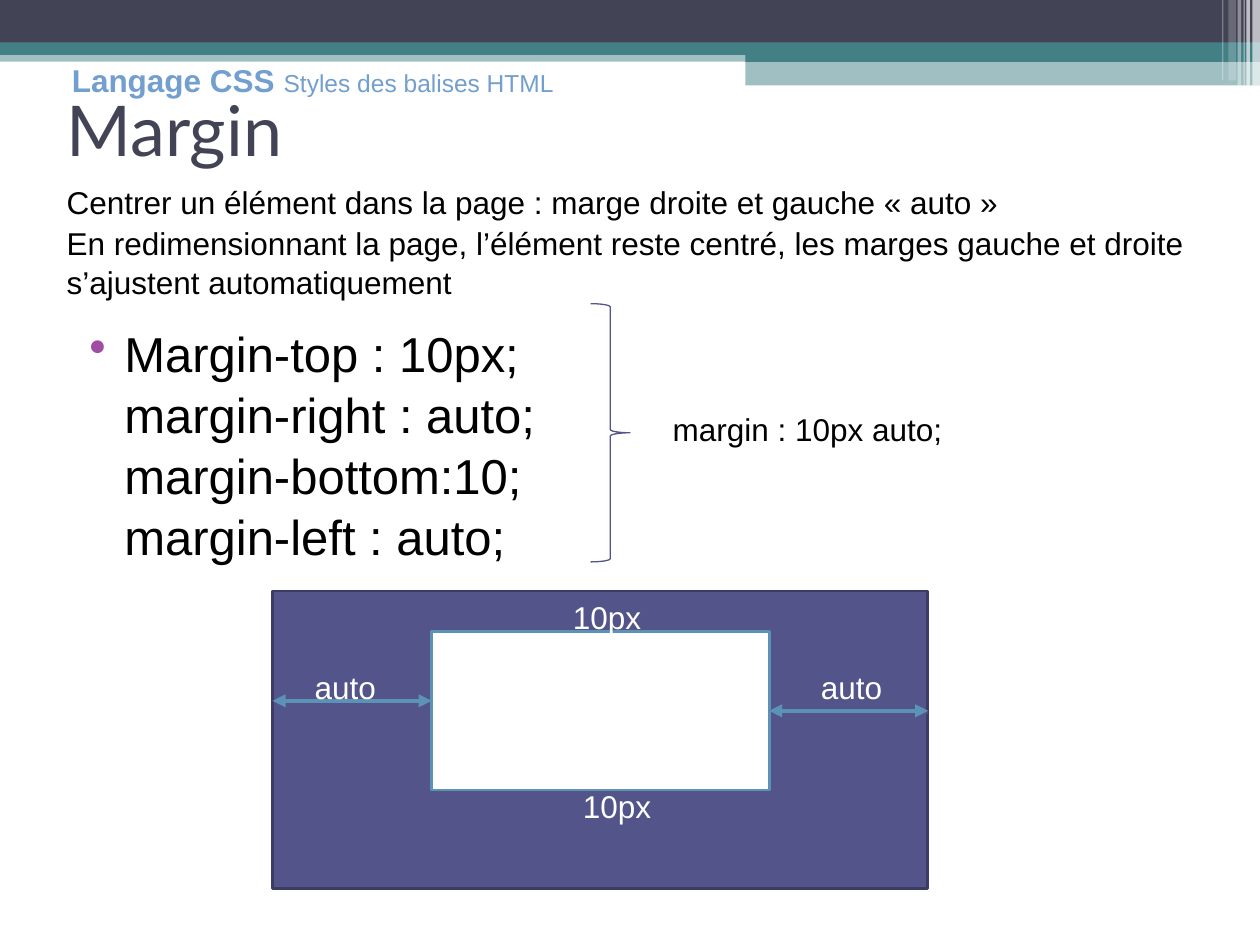
from lxml import etree
from pptx import Presentation
from pptx.dml.color import RGBColor
from pptx.enum.shapes import MSO_CONNECTOR, MSO_SHAPE
from pptx.enum.text import MSO_ANCHOR
from pptx.oxml.ns import qn
from pptx.util import Pt

RECTANGLE = MSO_SHAPE.RECTANGLE
RIGHT_BRACE = MSO_SHAPE.RIGHT_BRACE
STRAIGHT = MSO_CONNECTOR.STRAIGHT
TOP, MIDDLE = MSO_ANCHOR.TOP, MSO_ANCHOR.MIDDLE

BLACK, WHITE = "000000", "FFFFFF"
SLATE, TEAL = "424456", "438086"
INDIGO, DARK_INDIGO = "53548A", "3B3B64"
BLUE, HEADER_BLUE, PURPLE = "5C92B5", "729FCF", "A04DA3"


def color(value):
    return RGBColor.from_string(value)


class SlideBuilder:
    body_font = "Arial"
    title_font = "Lato"
    body_size = 18
    line_spacing = 1.04

    def __init__(self, page):
        self.page = page

    def shape(self, kind, x, y, w, h, fill=None, line=None, weight=1.5, opacity=100):
        shape = self.page.shapes.add_shape(kind, Pt(x), Pt(y), Pt(w), Pt(h))
        shape.shadow.inherit = False
        if fill:
            shape.fill.solid()
            shape.fill.fore_color.rgb = color(fill)
            if opacity < 100:
                tone = shape._element.spPr.find(qn("a:solidFill"))[0]
                etree.SubElement(tone, qn("a:alpha"), val=str(opacity * 1000))
        else:
            shape.fill.background()
        if line:
            shape.line.color.rgb = color(line)
            shape.line.width = Pt(weight)
        else:
            shape.line.fill.background()
        return shape

    def arrow(self, x1, y1, x2, y2, tone, weight, tip):
        arrow = self.page.shapes.add_connector(STRAIGHT, Pt(x1), Pt(y1), Pt(x2), Pt(y2))
        arrow.line.color.rgb = color(tone)
        arrow.line.width = Pt(weight)
        for end in ("a:headEnd", "a:tailEnd"):
            etree.SubElement(arrow.line._get_or_add_ln(), qn(end), type=tip)
        etree.SubElement(arrow._element.spPr, qn("a:effectLst"))

    def span(self, para, text, tone=BLACK, size=body_size, font=body_font, bold=False):
        span = para.add_run()
        span.text = text
        span.font.name = font
        span.font.size = Pt(size)
        span.font.bold = bold
        span.font.color.rgb = color(tone)

    def text(self, x, y, w, h, paragraphs, anchor=TOP):
        """Each paragraph is a list of (text, style) pairs."""
        box = self.page.shapes.add_textbox(Pt(x), Pt(y), Pt(w), Pt(h))
        frame = box.text_frame
        frame.word_wrap = True
        frame.vertical_anchor = anchor
        for index, spans in enumerate(paragraphs):
            para = frame.add_paragraph() if index else frame.paragraphs[0]
            para.space_after = Pt(0.5)
            if index:
                para.space_before = Pt(0.5)
            if len(paragraphs) > 1:
                para.line_spacing = self.line_spacing
            for text, style in spans:
                self.span(para, text, **style)

    def bullet(self, x, y, w, h, lines, size):
        box = self.page.shapes.add_textbox(Pt(x), Pt(y), Pt(w), Pt(h))
        box.text_frame.word_wrap = True
        para = box.text_frame.paragraphs[0]
        para.line_spacing = self.line_spacing
        properties = para._p.get_or_add_pPr()
        properties.set("marL", str(Pt(28)))
        properties.set("indent", str(Pt(-20)))
        bullet_color = etree.SubElement(properties, qn("a:buClr"))
        etree.SubElement(bullet_color, qn("a:srgbClr"), val=PURPLE)
        etree.SubElement(properties, qn("a:buChar"), char="•")
        for index, line in enumerate(lines):
            if index:
                para.add_line_break()
            self.span(para, line, size=size)


def main():
    deck = Presentation()
    deck.slide_width, deck.slide_height = Pt(720), Pt(540)
    page = deck.slides.add_slide(deck.slide_layouts[6])
    slide = SlideBuilder(page)

    # Banner bands
    for x, y, w, h, fill, opacity in (
        (0, 28.8, 720, 6.5, TEAL, 50),
        (0, 0, 720, 24.5, SLATE, 100),
        (0, 24.2, 720, 7.2, TEAL, 100),
        (426, 28.4, 294, 7, TEAL, 100),
        (426, 34.6, 294, 14.2, TEAL, 50),
    ):
        slide.shape(RECTANGLE, x, y, w, h, fill, opacity=opacity)

    # Vertical stripes at the right of the banner
    for x, w, h, opacity in (
        (715.6, 4.4, 49, 65),
        (712.2, 2, 49, 65),
        (710.6, 0.7, 49, 60),
        (707.2, 2, 49, 40),
        (702, 4.3, 46, 20),
        (698.4, 0.7, 46, 30),
    ):
        slide.shape(RECTANGLE, x, 0, w, h, WHITE, opacity=opacity)

    # Title, property list and introduction
    title_style = {"tone": SLATE, "size": 40, "font": slide.title_font}
    slide.text(31, 31.7, 648, 84, [[("Margin", title_style)]], MIDDLE)
    slide.bullet(36, 180, 290, 150, [
        "Margin-top : 10px;",
        "margin-right : auto;",
        "margin-bottom:10;",
        "margin-left : auto;",
    ], 28)
    slide.text(31, 100, 689, 73, [
        [("Centrer un élément dans la page : marge droite et gauche « auto »", {})],
        [("En redimensionnant la page, l’élément reste centré, les marges gauche "
          "et droite s’ajustent automatiquement", {})],
    ])

    # Brace leading to the shorthand
    slide.shape(RIGHT_BRACE, 337.5, 173.5, 22.5, 147.6, line=INDIGO, weight=0.75)
    slide.text(377.3, 230.9, 295, 29, [[("margin : 10px auto;", {})]])

    # Page and centred element
    slide.shape(RECTANGLE, 155.7, 337.7, 374.5, 170, INDIGO, DARK_INDIGO)
    slide.shape(RECTANGLE, 246.7, 360.9, 193, 90.6, WHITE, BLUE)

    # Margin arrows and their labels
    slide.arrow(439.5, 406, 530.5, 407.5, INDIGO, 0.75, "arrow")
    slide.arrow(439.5, 406.2, 530.5, 406.2, BLUE, 2.5, "triangle")
    slide.arrow(155.7, 400.5, 246.7, 400.5, BLUE, 2.5, "triangle")
    for x, y, label in (
        (320.3, 338.4, "10px"),
        (326, 446, "10px"),
        (462, 378, "auto"),
        (172.7, 378, "auto"),
    ):
        slide.text(x, y, 68, 29, [[(label, {"tone": WHITE})]])

    # Chapter heading
    slide.text(34, 31.4, 335, 31, [[
        ("Langage CSS ", {"tone": HEADER_BLUE, "bold": True}),
        ("Styles des balises HTML", {"tone": HEADER_BLUE, "size": 14}),
    ]])

    deck.save("out.pptx")


if __name__ == "__main__":
    main()
